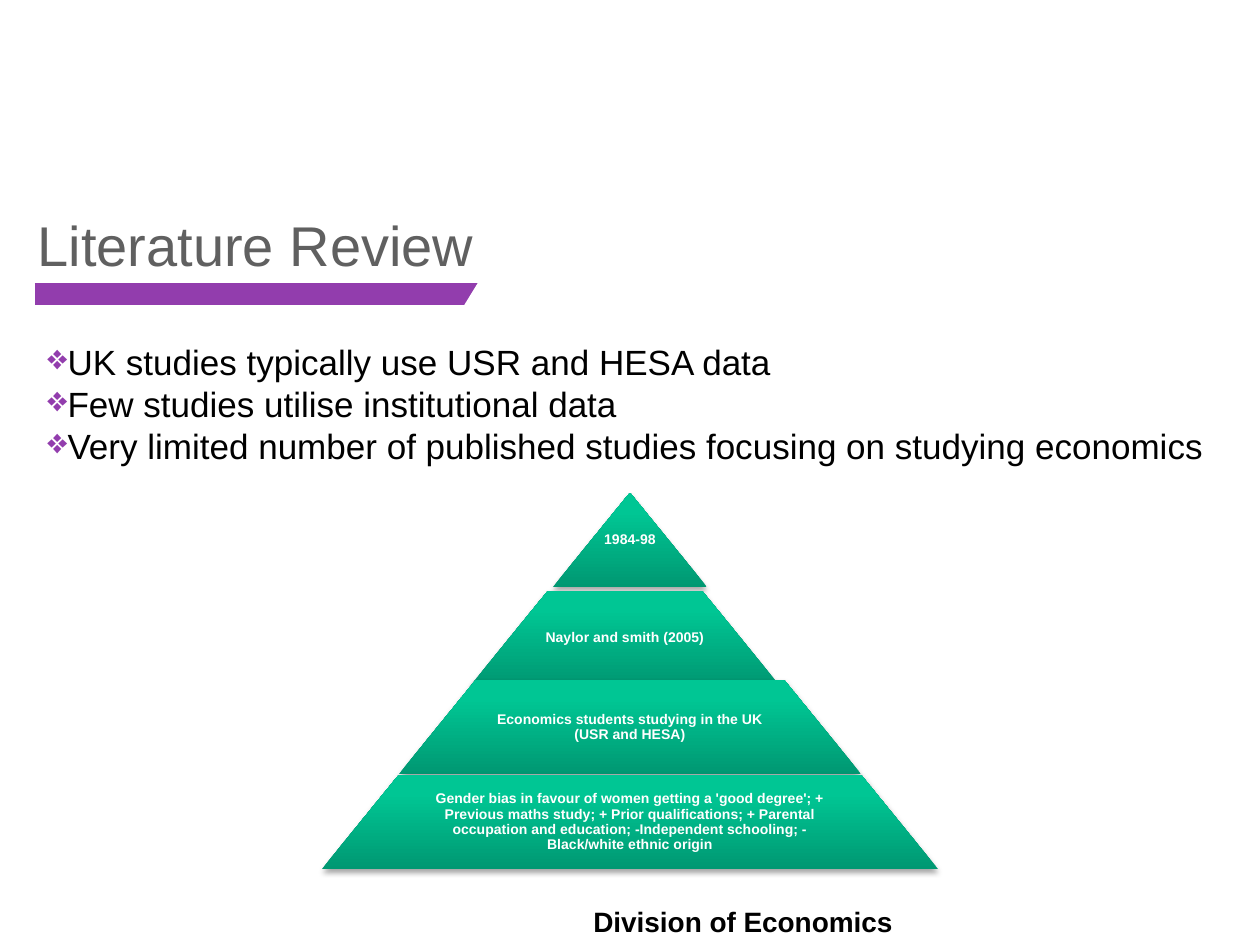
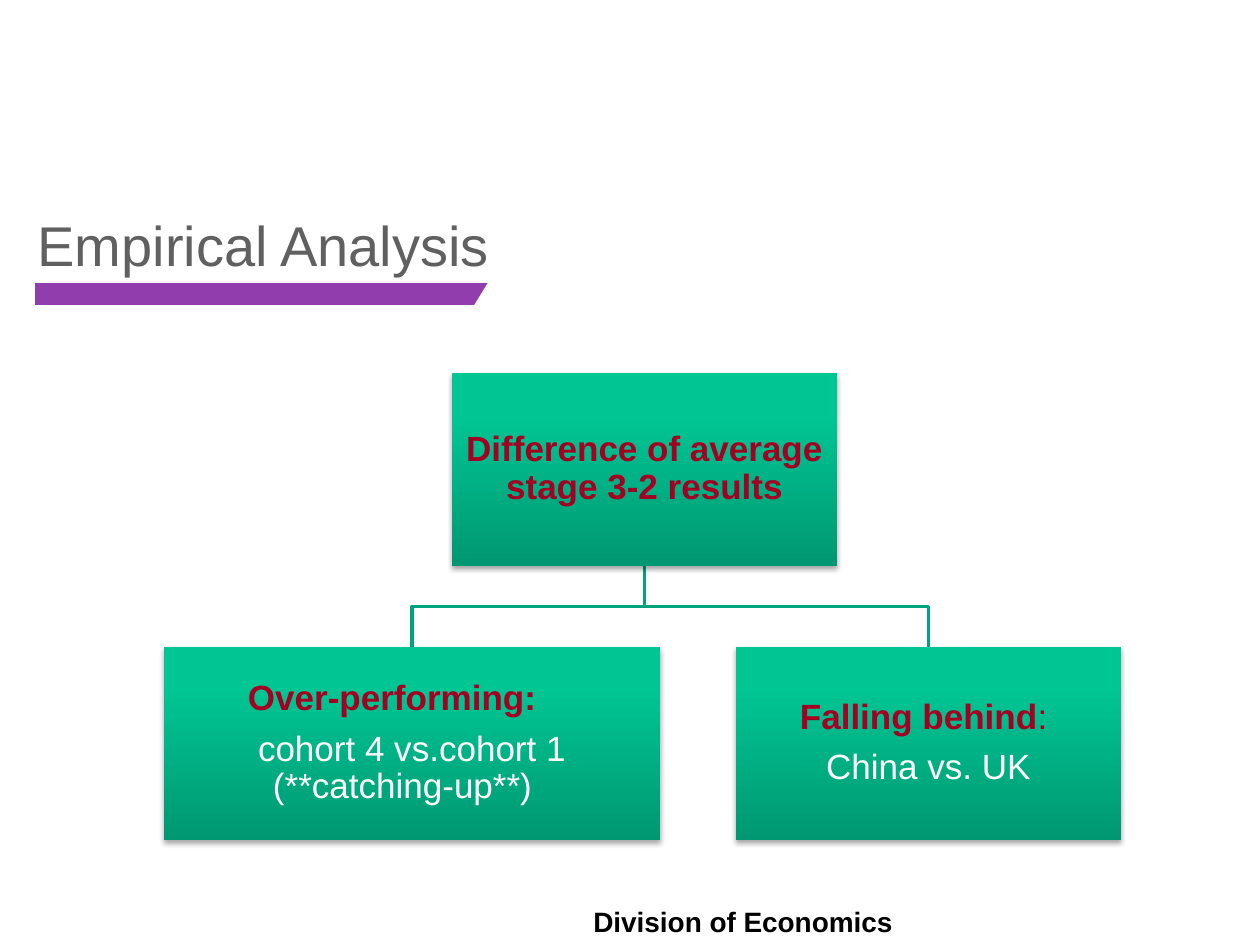
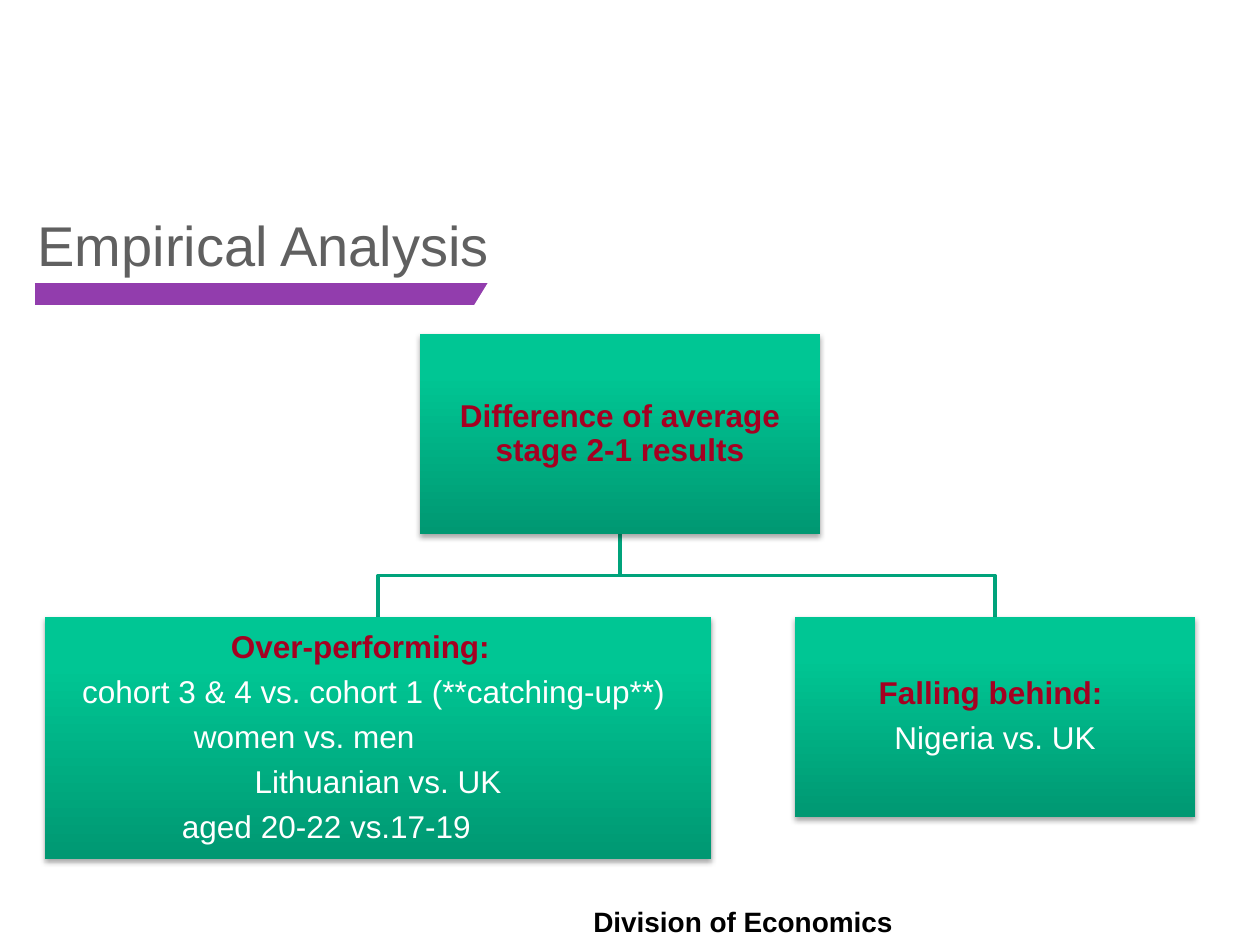
from copy import deepcopy

from lxml import etree
from pptx import Presentation, util as u
from pptx.dml.color import RGBColor
from pptx.enum import shapes, text
from pptx.oxml import ns

SCALE = 914400 / 126
FONT = "Arial"
BLACK, WHITE, GREY = "000000", "FFFFFF", "606060"
PURPLE, RED, TEAL = "923DAD", "A50021", "00A37B"
STOPS = [(0, "009872"), (0.8, "00C694"), (1, "00C795")]
LEFT, MID = text.PP_ALIGN.LEFT, text.PP_ALIGN.CENTER


def px(n):
    return u.Emu(round(n * SCALE))


def color(code):
    return RGBColor.from_string(code)


def node(root, tag, **attrs):
    return etree.SubElement(root, ns.qn(tag), attrs)


def row(words, tint=WHITE, bold=False, left=0, first=0):
    return {"runs": [(words, tint, bold)], "left": left, "first": first}


def head(words, left=0):
    return row(words, RED, True, left)


class Deck:
    def __init__(self):
        self.deck = Presentation()
        self.deck.slide_width, self.deck.slide_height = px(1260), px(945)
        self.slide = None

    def page(self, title, end):
        self.slide = self.deck.slides.add_slide(self.deck.slide_layouts[5])
        self.label(581, 898, 655, 47, "Division of Economics", 16, BLACK, True)
        name = self.slide.shapes.title
        name.left, name.top, name.width, name.height = map(px, (25, 204, 704, 81))
        frame = name.text_frame
        frame.auto_size = text.MSO_AUTO_SIZE.NONE
        frame.vertical_anchor = text.MSO_ANCHOR.TOP
        frame.paragraphs[0].alignment = LEFT
        self.put(frame.paragraphs[0], title, 32, GREY)
        self.rule(35, 294, end)

    def put(self, para, words, size, tint, bold=False):
        part = para.add_run()
        part.text = words
        font = part.font
        font.name, font.size, font.bold = FONT, u.Pt(size), bold
        font.color.rgb = color(tint)

    def box(self, x, y, w, h):
        frame = self.slide.shapes.add_textbox(*map(px, (x, y, w, h))).text_frame
        frame.word_wrap = True
        return frame

    def label(self, x, y, w, h, words, size, tint, bold):
        self.put(self.box(x, y, w, h).paragraphs[0], words, size, tint, bold)

    def rule(self, x, y, end):
        line = self.slide.shapes.add_connector(
            shapes.MSO_CONNECTOR.STRAIGHT, px(x), px(y), px(end), px(y))
        line.line.color.rgb = color(PURPLE)
        line.line.width = u.Pt(13)
        node(line.element.spPr, "a:effectLst")
        tip = self.slide.shapes.add_shape(
            shapes.MSO_SHAPE.ISOSCELES_TRIANGLE, *map(px, (end - 21, y - 29, 50, 59)))
        tip.rotation = 8.6
        tip.shadow.inherit = False
        tip.fill.solid()
        tip.fill.fore_color.rgb = color(WHITE)
        tip.line.color.rgb = color(WHITE)
        tip.line.width = u.Pt(0.75)

    def points(self, x, y, w, h, items, size):
        frame = self.box(x, y, w, h)
        for i, item in enumerate(items):
            para = frame.add_paragraph() if i else frame.paragraphs[0]
            para.line_spacing = u.Pt(24)
            props = para._p.get_or_add_pPr()
            props.set("marL", "0")
            props.set("indent", "0")
            node(node(props, "a:buClr"), "a:srgbClr", val=PURPLE)
            node(props, "a:buChar", char="❖")
            self.put(para, item, size, BLACK)

    def block(self, kind, x, y, w, h):
        shape = self.slide.shapes.add_shape(kind, *map(px, (x, y, w, h)))
        shape.line.fill.background()
        shape.fill.gradient()
        shape.fill.gradient_angle = 90
        props = shape.element.spPr
        stops = props.find(".//" + ns.qn("a:gsLst"))
        stops.append(deepcopy(stops[0]))
        for stop, (place, tint) in zip(shape.fill.gradient_stops, STOPS):
            stop.position = place
            stop.color.rgb = color(tint)
        shape.shadow.inherit = False
        shade = node(props.find(ns.qn("a:effectLst")), "a:outerShdw",
                     blurRad=str(u.Pt(3.1)), dist=str(u.Pt(1.8)),
                     dir="5400000", rotWithShape="0")
        node(node(shade, "a:srgbClr", val=BLACK), "a:alpha", val="35000")
        return shape

    def fill(self, frame, rows, size):
        frame.word_wrap = True
        frame.vertical_anchor = text.MSO_ANCHOR.MIDDLE
        frame.margin_left = frame.margin_right = px(1)
        frame.margin_top = frame.margin_bottom = px(1)
        for i, item in enumerate(rows):
            para = frame.add_paragraph() if i else frame.paragraphs[0]
            para.alignment = LEFT if item["left"] else MID
            para.line_spacing = 0.9
            para.space_after = u.Pt(size * 0.35)
            props = para._p.get_or_add_pPr()
            props.set("marL", str(px(item["left"])))
            props.set("indent", str(px(item["first"])))
            for words, tint, bold in item["runs"]:
                self.put(para, words, size, tint, bold)

    def tier(self, mid, y, w, span, words):
        h = 94
        shape = self.block(shapes.MSO_SHAPE.TRAPEZOID, mid - w / 2, y, w, h)
        shape.adjustments[0] = 0.816
        frame = self.box(mid - span / 2, y, span, h)
        self.fill(frame, [row(words, bold=True)], 8)

    def link(self, top, low):
        x, y = top[0] + top[2] / 2, top[1] + top[3]
        end, floor = low[0] + low[2] / 2, low[1]
        half = (y + floor) / 2
        pen = self.slide.shapes.build_freeform(px(x), px(y))
        pen.add_line_segments(
            [(px(a), px(b)) for a, b in ((x, half), (end, half), (end, floor))],
            close=False)
        line = pen.convert_to_shape()
        line.fill.background()
        line.shadow.inherit = False
        line.line.color.rgb = color(TEAL)
        line.line.width = u.Pt(2)

    def tree(self, size, top, *lows):
        for low in reversed(lows):
            self.link(top[0], low[0])
        for place, rows in (top, *lows):
            shape = self.block(shapes.MSO_SHAPE.RECTANGLE, *place)
            self.fill(shape.text_frame, rows, size)


def main():
    show = Deck()

    show.page("Literature Review", 481)
    show.points(35, 334, 1206, 140, [
        "UK studies typically use USR and HESA data",
        "Few studies utilise institutional data",
        "Very limited number of published studies focusing on studying economics",
    ], 20)
    tiers = [
        (630, 493, 154, "1984-98"),
        (625, 591, 200, "Naylor and smith (2005)"),
        (630, 680, 300, "Economics students studying in the UK (USR and HESA)"),
        (630, 775, 400, "Gender bias in favour of women getting a 'good degree'; + "
         "Previous maths study; + Prior qualifications; + Parental occupation and "
         "education; -Independent schooling; - Black/white ethnic origin"),
    ]
    for i, (mid, y, span, words) in enumerate(tiers, 1):
        show.tier(mid, y, 154 * i, span, words)

    show.page("Empirical Analysis", 491)
    behind = head("Falling behind")
    behind["runs"].append((": ", RED, False))
    show.tree(
        20,
        ((452, 373, 385, 193), [head("Difference of average stage 3-2 results")]),
        ((164, 647, 496, 193), [
            head("Over-performing:", 83),
            row("cohort 4 vs.cohort 1 (**catching-up**)", left=108, first=-15)]),
        ((736, 647, 385, 193), [behind, row("China vs. UK")]))

    show.page("Empirical Analysis", 491)
    show.tree(
        18,
        ((420, 334, 400, 200), [head("Difference of average stage 2-1 results")]),
        ((45, 617, 666, 242), [
            head("Over-performing:", 185),
            row("cohort 3 & 4 vs. cohort 1 (**catching-up**) "),
            row("women vs. men", left=148),
            row("Lithuanian vs. UK"),
            row("aged 20-22 vs.17-19", left=136)]),
        ((795, 617, 400, 200), [head("Falling behind: "), row("Nigeria vs. UK")]))

    show.deck.save("out.pptx")


if __name__ == "__main__":
    main()
